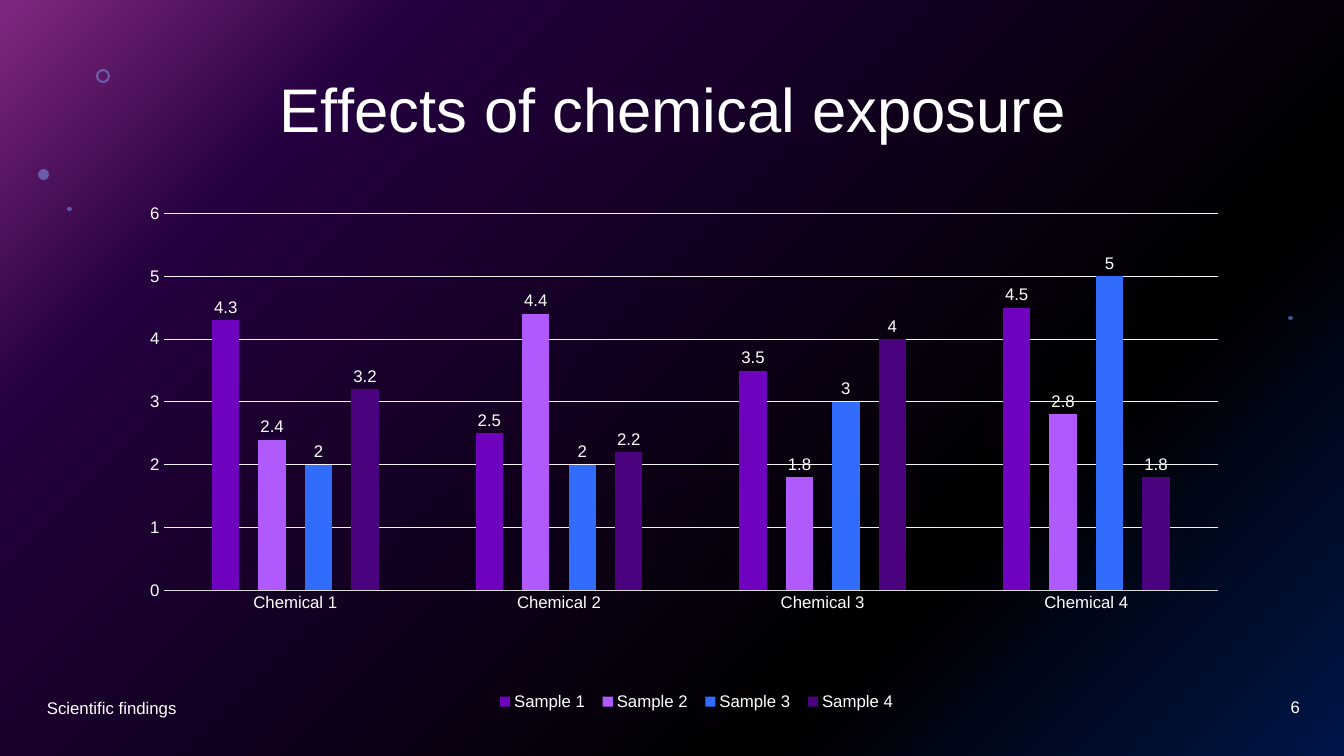
from dataclasses import dataclass
from typing import Any

import lxml.etree
import pptx
import pptx.chart.data
import pptx.dml.color
import pptx.enum.chart
import pptx.enum.shapes
import pptx.enum.text
import pptx.oxml
import pptx.oxml.ns
import pptx.util

RGBColor = pptx.dml.color.RGBColor
WHITE = RGBColor(0xFF, 0xFF, 0xFF)
BLACK = RGBColor(0x00, 0x00, 0x00)
BUBBLE_BLUE = RGBColor(0x83, 0xA7, 0xFD)
GRID_GREY = RGBColor(0xF2, 0xF2, 0xF2)
AXIS_GREY = RGBColor(0xD9, 0xD9, 0xD9)
VIOLET = RGBColor(0x6F, 0x02, 0xBE)
LILAC = RGBColor(0xB0, 0x59, 0xFD)
BLUE = RGBColor(0x31, 0x6C, 0xFC)
PURPLE = RGBColor(0x4A, 0x02, 0x7F)
PINK = RGBColor(0xFC, 0x4E, 0xFB)
NAVY = RGBColor(0x02, 0x2D, 0x94)

EMU_PER_PX = 914400 / 100.8
SLIDE_SIZE = (1344, 756)
BACKGROUND_STOPS = {0: NAVY, 28: BLACK, 80: PURPLE, 99: PINK}
SMALL_TEXT = {"name": "Arial", "size": pptx.util.Pt(12)}
TITLE_TEXT = {"name": "Arial", "size": pptx.util.Pt(44)}

ShapeType = pptx.enum.shapes.MSO_SHAPE
Align = pptx.enum.text.PP_ALIGN


@dataclass
class Box:
    left: int
    top: int
    width: int
    height: int

    def emu(self) -> list[int]:
        return [px(n) for n in (self.left, self.top, self.width, self.height)]


@dataclass
class Backdrop:
    kind: Any
    box: Box
    color: RGBColor
    opacity: int


@dataclass
class Label:
    text: str
    box: Box
    align: Any


@dataclass
class Sample:
    name: str
    color: RGBColor
    values: tuple[float, ...]


BACKDROPS = [
    Backdrop(ShapeType.RECTANGLE, Box(0, 0, *SLIDE_SIZE), BLACK, 50),
    Backdrop(ShapeType.DONUT, Box(96, 69, 14, 14), BUBBLE_BLUE, 49),
    Backdrop(ShapeType.OVAL, Box(38, 169, 11, 11), BUBBLE_BLUE, 49),
    Backdrop(ShapeType.OVAL, Box(67, 207, 5, 4), BUBBLE_BLUE, 49),
    Backdrop(ShapeType.OVAL, Box(1288, 316, 5, 4), BUBBLE_BLUE, 49),
]
LABELS = [
    Label("Scientific findings", Box(37, 688, 454, 40), Align.LEFT),
    Label("6", Box(1008, 687, 302, 40), Align.RIGHT),
]
CATEGORIES = [f"Chemical {number}" for number in range(1, 5)]
SAMPLES = [
    Sample("Sample 1", VIOLET, (4.3, 2.5, 3.5, 4.5)),
    Sample("Sample 2", LILAC, (2.4, 4.4, 1.8, 2.8)),
    Sample("Sample 3", BLUE, (2, 2, 3, 5)),
    Sample("Sample 4", PURPLE, (3.2, 2.2, 4, 1.8)),
]


def px(length: int) -> int:
    return round(length * EMU_PER_PX)


def set_all(target: Any, values: dict[str, Any]) -> None:
    for name, value in values.items():
        setattr(target, name, value)


def set_font(font: Any, values: dict[str, Any]) -> None:
    set_all(font, values)
    font.color.rgb = WHITE


def paint_background(slide: Any) -> None:
    """Fill the slide with a gradient that radiates from the bottom right corner."""
    slide.background.fill.gradient()
    old = next(slide.element.iter(pptx.oxml.ns.qn("a:gradFill")))
    stops = "".join(
        f'<a:gs pos="{percent * 1000}"><a:srgbClr val="{color}"/></a:gs>'
        for percent, color in BACKGROUND_STOPS.items()
    )
    gradient = pptx.oxml.parse_xml(
        f'<a:gradFill {pptx.oxml.ns.nsdecls("a")}><a:gsLst>{stops}</a:gsLst>'
        '<a:path path="circle"><a:fillToRect l="100000" t="100000"/></a:path>'
        '<a:tileRect r="-100000" b="-100000"/></a:gradFill>'
    )
    old.getparent().replace(old, gradient)


def add_backdrop(slide: Any, backdrop: Backdrop) -> None:
    shape = slide.shapes.add_shape(backdrop.kind, *backdrop.box.emu())
    shape.shadow.inherit = False
    shape.line.fill.background()
    shape.fill.solid()
    shape.fill.fore_color.rgb = backdrop.color
    if backdrop.kind == ShapeType.DONUT:
        shape.adjustments[0] = 0.15
    color = next(shape.element.spPr.iter(pptx.oxml.ns.qn("a:srgbClr")))
    alpha = lxml.etree.SubElement(color, pptx.oxml.ns.qn("a:alpha"))
    alpha.set("val", str(backdrop.opacity * 1000))


def write_text(shape: Any, text: str, align: Any, font: dict[str, Any]) -> None:
    frame = shape.text_frame
    frame.text = text
    set_all(frame, {"word_wrap": True, "vertical_anchor": pptx.enum.text.MSO_ANCHOR.MIDDLE})
    paragraph = frame.paragraphs[0]
    paragraph.alignment = align
    set_font(paragraph.runs[0].font, font)


def place_by_fraction(element: Any, box: tuple[float, ...], target: str = "") -> None:
    """Give a plot area or legend a fixed place, in fractions of the chart."""
    for old in element.findall(pptx.oxml.ns.qn("c:layout")):
        element.remove(old)
    inner = f'<c:layoutTarget val="{target}"/>' if target else ""
    modes = '<c:xMode val="edge"/><c:yMode val="edge"/>'
    sizes = "".join(f'<c:{key} val="{value}"/>' for key, value in zip("xywh", box))
    layout = pptx.oxml.parse_xml(
        f'<c:layout {pptx.oxml.ns.nsdecls("c")}><c:manualLayout>'
        f"{inner}{modes}{sizes}</c:manualLayout></c:layout>"
    )
    position = element.find(pptx.oxml.ns.qn("c:legendPos"))
    element.insert(0 if position is None else 1, layout)


def add_sample_chart(slide: Any, box: Box) -> None:
    data = pptx.chart.data.CategoryChartData()
    data.categories = CATEGORIES
    for sample in SAMPLES:
        data.add_series(sample.name, sample.values)
    kind = pptx.enum.chart.XL_CHART_TYPE.COLUMN_CLUSTERED
    chart = slide.shapes.add_chart(kind, *box.emu(), data).chart
    set_all(chart, {"has_title": False, "has_legend": True})
    set_font(chart.font, SMALL_TEXT)

    plot = chart.plots[0]
    set_all(plot, {"gap_width": 355, "overlap": -70, "vary_by_categories": False})
    for series, sample in zip(plot.series, SAMPLES):
        series.format.fill.solid()
        series.format.fill.fore_color.rgb = sample.color
        labels = series.data_labels
        position = pptx.enum.chart.XL_LABEL_POSITION.OUTSIDE_END
        set_all(labels, {"show_value": True, "position": position})
        set_font(labels.font, SMALL_TEXT)

    no_tick = pptx.enum.chart.XL_TICK_MARK.NONE
    for axis in (chart.category_axis, chart.value_axis):
        set_all(axis, {"major_tick_mark": no_tick, "minor_tick_mark": no_tick})
        set_font(axis.tick_labels.font, SMALL_TEXT)
    set_all(chart.value_axis, {"minimum_scale": 0, "maximum_scale": 6, "major_unit": 1})
    chart.value_axis.format.line.fill.background()
    grid_line = chart.value_axis.major_gridlines.format.line
    for line, color in ((grid_line, GRID_GREY), (chart.category_axis.format.line, AXIS_GREY)):
        line.width = pptx.util.Pt(0.75)
        line.color.rgb = color

    bottom = pptx.enum.chart.XL_LEGEND_POSITION.BOTTOM
    set_all(chart.legend, {"position": bottom, "include_in_layout": False})
    set_font(chart.legend.font, SMALL_TEXT)
    plot_area = next(chart.element.iter(pptx.oxml.ns.qn("c:plotArea")))
    legend = next(chart.element.iter(pptx.oxml.ns.qn("c:legend")))
    place_by_fraction(plot_area, (0.06, 0.05, 0.91, 0.66), "inner")
    place_by_fraction(legend, (0.34, 0.88, 0.36, 0.05))


def main() -> None:
    presentation = pptx.Presentation()
    presentation.slide_width, presentation.slide_height = map(px, SLIDE_SIZE)
    slide = presentation.slides.add_slide(presentation.slide_layouts[5])
    paint_background(slide)
    for backdrop in BACKDROPS:
        add_backdrop(slide, backdrop)
    add_sample_chart(slide, Box(94, 185, 1159, 571))

    title = slide.shapes.title
    set_all(title, dict(zip(("left", "top", "width", "height"), Box(94, 40, 1159, 146).emu())))
    write_text(title, "Effects of chemical exposure", Align.CENTER, TITLE_TEXT)
    title.text_frame.paragraphs[0].line_spacing = 0.9
    slide.shapes.element.append(title.element)
    for label in LABELS:
        write_text(slide.shapes.add_textbox(*label.box.emu()), label.text, label.align, SMALL_TEXT)
    presentation.save("out.pptx")


if __name__ == "__main__":
    main()
